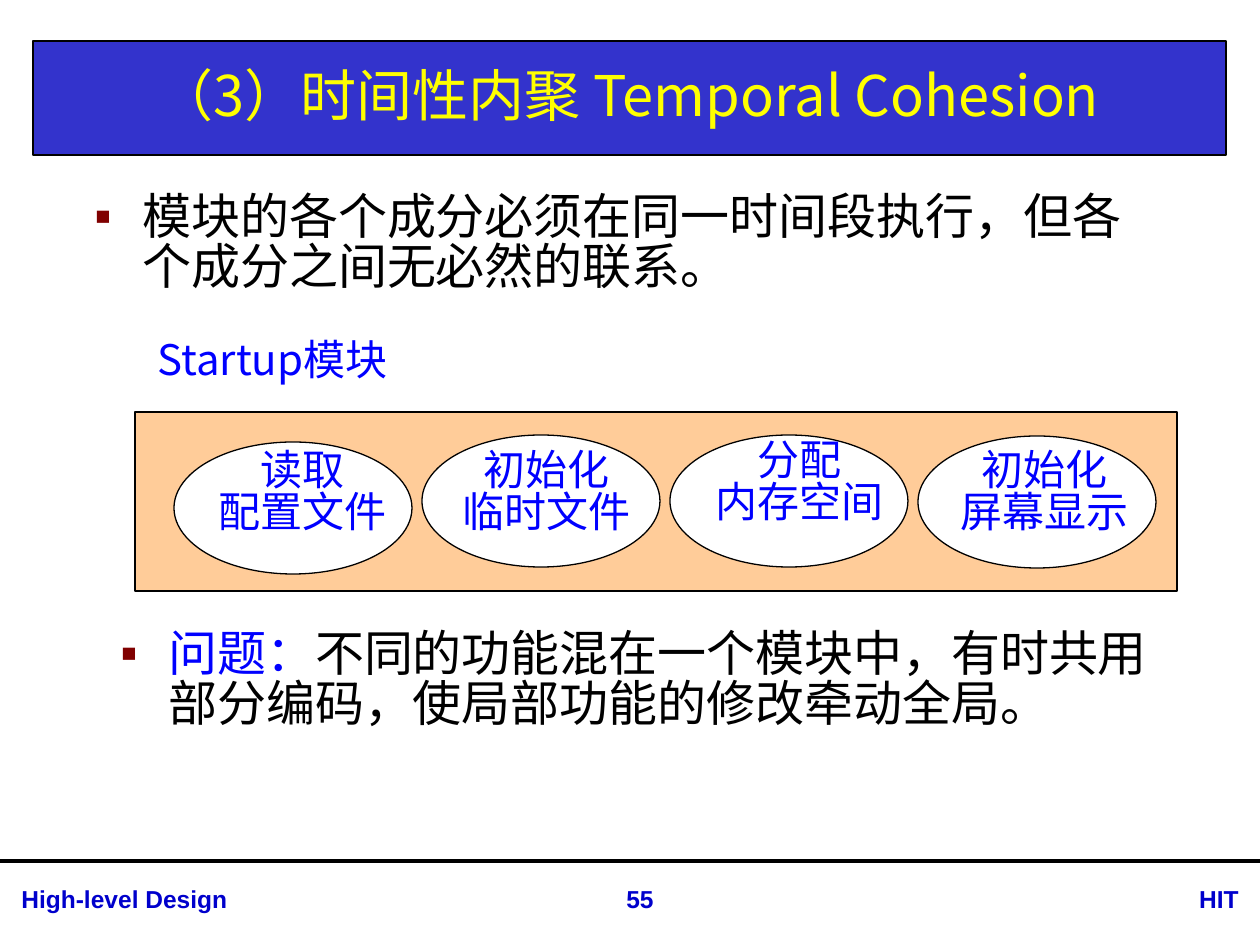
from dataclasses import dataclass

from lxml.etree import SubElement
from pptx import Presentation
from pptx.dml.color import RGBColor
from pptx.enum.shapes import MSO_CONNECTOR, MSO_SHAPE
from pptx.enum.text import MSO_ANCHOR, PP_ALIGN
from pptx.oxml.ns import qn
from pptx.util import Emu, Pt

PX_PER_INCH = 126


def px(length: int) -> Emu:
    return Emu(round(length * 914400 / PX_PER_INCH))


@dataclass(frozen=True)
class Theme:
    band: str = "3333CC"
    panel: str = "FFCC99"
    paper: str = "FFFFFF"
    ink: str = "000000"
    heading: str = "FFFF00"
    accent: str = "0000FF"
    footer: str = "0000CC"
    bullet: str = "800000"
    cjk_font: str = "Noto Sans CJK SC"
    footer_font: str = "Arial"
    title_size: int = 32
    body_size: int = 28
    label_size: int = 24
    footer_size: int = 14
    line_spacing: float = 0.84


THEME = Theme()


@dataclass(frozen=True)
class Box:
    left: int
    top: int
    width: int
    height: int

    def emu(self) -> tuple:
        return tuple(map(px, (self.left, self.top, self.width, self.height)))


@dataclass(frozen=True)
class Run:
    text: str
    color: str
    size: int
    font: str = THEME.cjk_font
    bold: bool = False


@dataclass(frozen=True)
class Task:
    oval: Box
    label: Box
    lines: tuple


@dataclass(frozen=True)
class Footer:
    text: str
    box: Box
    align: PP_ALIGN


def apply_format(target, values: dict) -> None:
    for name, value in values.items():
        setattr(target, name, value)


def add_run(paragraph, run: Run) -> None:
    piece = paragraph.add_run()
    piece.text = run.text
    apply_format(piece.font, {"size": Pt(run.size), "bold": run.bold, "name": run.font})
    piece.font.color.rgb = RGBColor.from_string(run.color)
    SubElement(piece.font._element, qn("a:ea")).set("typeface", run.font)


def add_bullet(paragraph) -> None:
    properties = paragraph._p.get_or_add_pPr()
    indent = px(48)
    properties.set("marL", str(indent))
    properties.set("indent", str(-indent))
    color = SubElement(properties, qn("a:buClr"))
    SubElement(color, qn("a:srgbClr")).set("val", THEME.bullet)
    SubElement(properties, qn("a:buFont")).set("typeface", THEME.footer_font)
    SubElement(properties, qn("a:buChar")).set("char", "▪")


def write(frame, lines: list, align=PP_ALIGN.LEFT, anchor=MSO_ANCHOR.TOP,
          spacing=THEME.line_spacing, bulleted=False) -> None:
    apply_format(frame, {"word_wrap": True, "vertical_anchor": anchor})
    for index, runs in enumerate(lines):
        paragraph = frame.add_paragraph() if index else frame.paragraphs[0]
        apply_format(paragraph, {"alignment": align, "line_spacing": spacing})
        if bulleted:
            add_bullet(paragraph)
        for run in runs:
            add_run(paragraph, run)


def add_text(slide, box: Box, lines: list, **layout) -> None:
    write(slide.shapes.add_textbox(*box.emu()).text_frame, lines, **layout)


def add_filled(slide, kind: MSO_SHAPE, box: Box, color: str) -> None:
    shape = slide.shapes.add_shape(kind, *box.emu())
    shape.shadow.inherit = False
    shape.fill.solid()
    shape.fill.fore_color.rgb = RGBColor.from_string(color)
    shape.line.color.rgb = RGBColor.from_string(THEME.ink)
    shape.line.width = Pt(0.75)


def add_title(slide, text: str) -> None:
    add_filled(slide, MSO_SHAPE.RECTANGLE, Box(33, 41, 1193, 114), THEME.band)
    title = slide.shapes.title
    slide.shapes._spTree.append(title._element)
    place = zip(("left", "top", "width", "height"), Box(33, 45, 1191, 110).emu())
    apply_format(title, dict(place))
    write(title.text_frame, [[Run(text, THEME.heading, THEME.title_size)]],
          align=PP_ALIGN.CENTER, anchor=MSO_ANCHOR.MIDDLE)


def add_task(slide, task: Task) -> None:
    add_filled(slide, MSO_SHAPE.OVAL, task.oval, THEME.paper)
    lines = [[Run(line, THEME.accent, THEME.label_size)] for line in task.lines]
    add_text(slide, task.label, lines, align=PP_ALIGN.CENTER)


def add_footer(slide, footers: list) -> None:
    rule = slide.shapes.add_connector(MSO_CONNECTOR.STRAIGHT, px(0), px(861), px(1260), px(861))
    rule.line.color.rgb = RGBColor.from_string(THEME.ink)
    rule.line.width = Pt(2.25)
    SubElement(rule._element.spPr, qn("a:effectLst"))
    for footer in footers:
        run = Run(footer.text, THEME.footer, THEME.footer_size, THEME.footer_font, True)
        add_text(slide, footer.box, [[run]], align=footer.align, spacing=1.0)


def oval_box(column: int, top: int) -> Box:
    return Box(174 + 248 * column, top, 238, 132)


TASKS = [
    Task(oval_box(0, 442), Box(45, 445, 515, 115), ("读取", "配置文件")),
    Task(oval_box(1, 435), Box(363, 445, 367, 115), ("初始化", "临时文件")),
    Task(oval_box(2, 435), Box(611, 435, 377, 115), ("分配", "内存空间")),
    Task(oval_box(3, 436), Box(878, 445, 333, 115), ("初始化", "屏幕显示")),
]
FOOTERS = [
    Footer("High-level Design", Box(9, 878, 485, 43), PP_ALIGN.LEFT),
    Footer("55", Box(575, 878, 130, 43), PP_ALIGN.CENTER),
    Footer("HIT", Box(1121, 878, 130, 43), PP_ALIGN.RIGHT),
]


def main() -> None:
    deck = Presentation()
    apply_format(deck, {"slide_width": px(1260), "slide_height": px(945)})
    slide = deck.slides.add_slide(deck.slide_layouts[5])

    add_title(slide, "（3）时间性内聚 Temporal Cohesion")
    definition = Run("模块的各个成分必须在同一时间段执行，但各个成分之间无必然的联系。",
                     THEME.ink, THEME.body_size)
    add_text(slide, Box(82, 189, 1091, 146), [[definition]], bulleted=True)

    add_filled(slide, MSO_SHAPE.RECTANGLE, Box(135, 412, 1042, 179), THEME.panel)
    module = Run("Startup模块", THEME.accent, THEME.label_size)
    add_text(slide, Box(145, 335, 297, 63), [[module]])
    for task in TASKS:
        add_task(slide, task)

    problem = Run("问题：", THEME.accent, THEME.body_size)
    drawback = Run("不同的功能混在一个模块中，有时共用部分编码，使局部功能的修改牵动全局。",
                   THEME.ink, THEME.body_size)
    add_text(slide, Box(108, 626, 1074, 130), [[problem, drawback]], bulleted=True)

    add_footer(slide, FOOTERS)
    deck.save("out.pptx")


if __name__ == "__main__":
    main()
